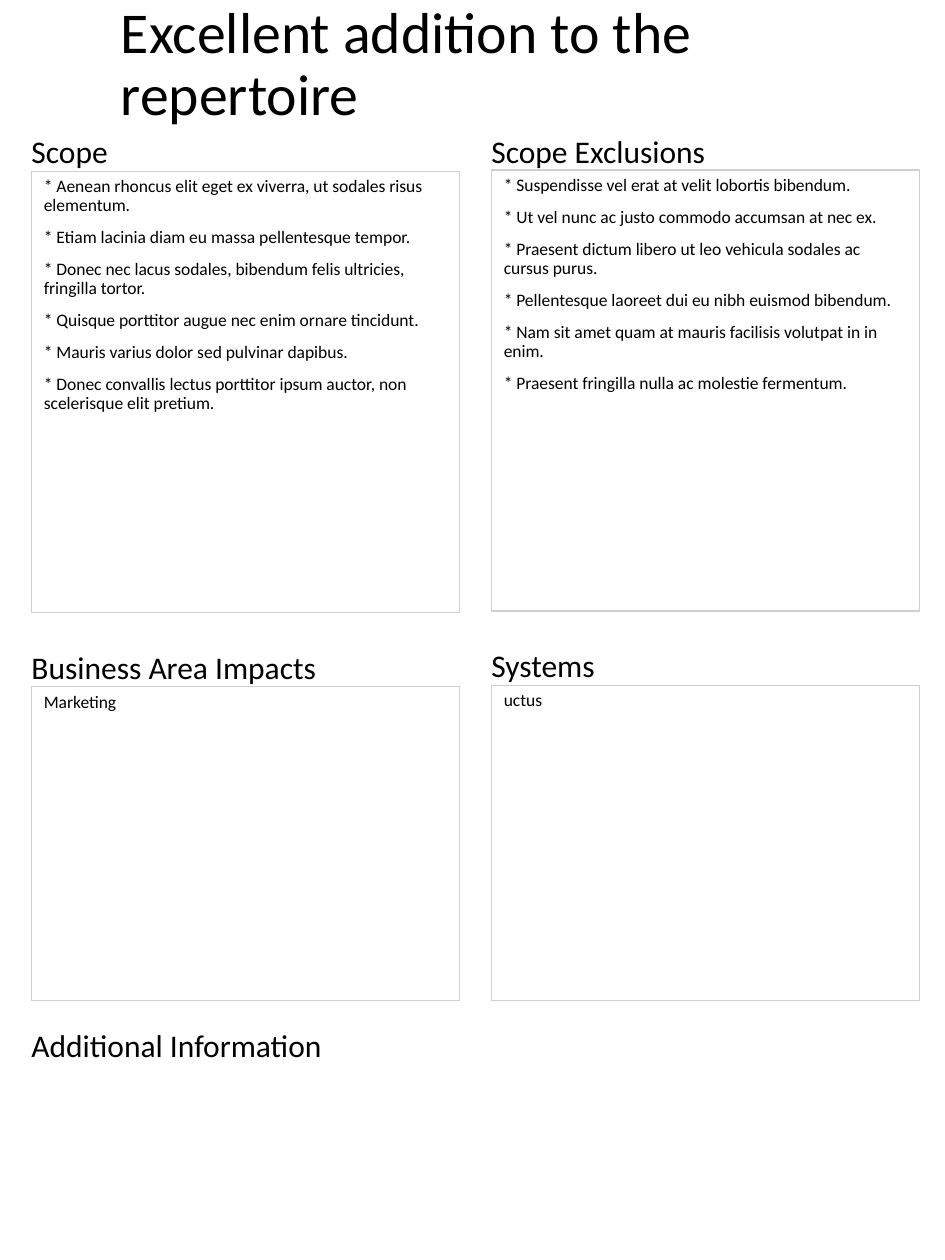
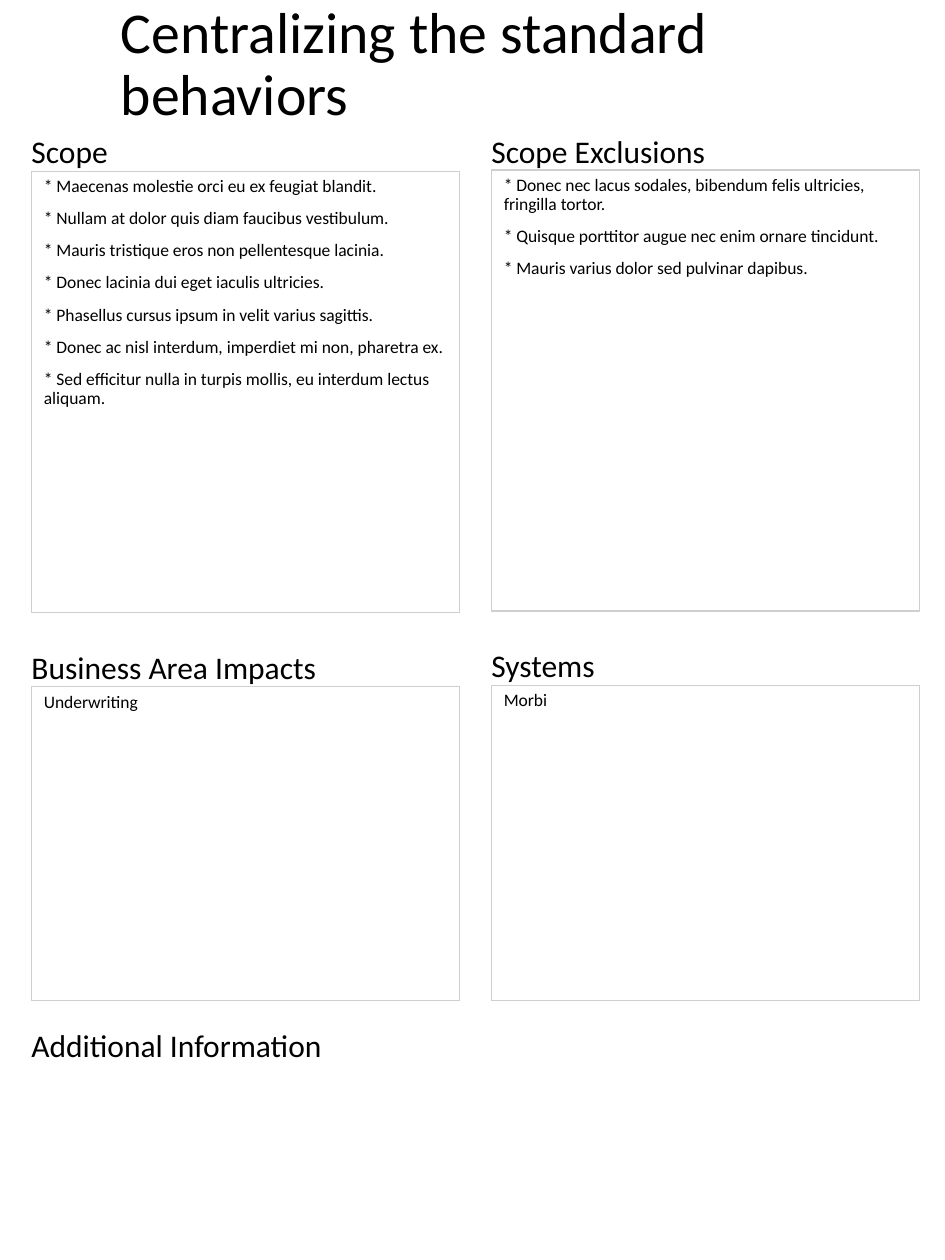
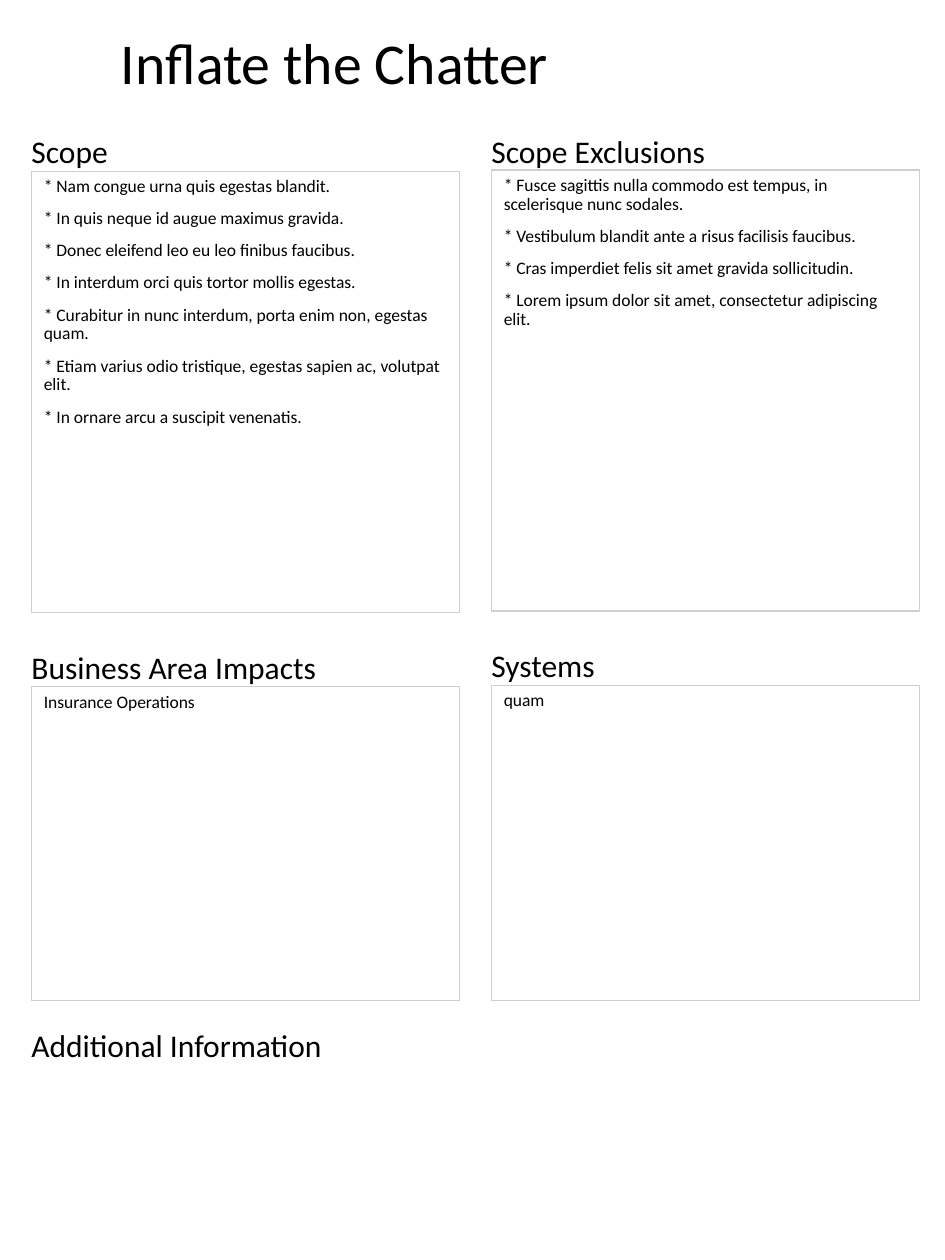
from pptx import Presentation
from pptx.dml.color import RGBColor
from pptx.enum.shapes import MSO_SHAPE
from pptx.enum.text import MSO_ANCHOR, PP_ALIGN
from pptx.util import Inches, Pt

RECTANGLE = MSO_SHAPE.RECTANGLE
TOP, MIDDLE = MSO_ANCHOR.TOP, MSO_ANCHOR.MIDDLE
LEFT = PP_ALIGN.LEFT

COLORS = {"text": "000000", "border": "D0CECE"}
FONT = "Calibri"
TITLE_SIZE, HEADING_SIZE, BODY_SIZE = 33, 18, 10
LINE_SPACING = 0.9

LEFT_COLUMN, RIGHT_COLUMN = 0.25, 3.9
COLUMN_WIDTH = 3.4
HEADING_HEIGHT = 0.3
HEADING_TO_PANEL = 0.31

PANELS = [
    ("Scope", LEFT_COLUMN, 1.05, 1.36, 3.5),
    ("Scope Exclusions", RIGHT_COLUMN, 1.05, 1.35, 3.5),
    ("Business Area Impacts", LEFT_COLUMN, 5.14, 5.45, 2.49),
    ("Systems", RIGHT_COLUMN, 5.13, 5.44, 2.5),
]
CLOSING_HEADING = ("Additional Information", LEFT_COLUMN, 8.14)

PAGES = [
    {
        "title": "Excellent addition to the repertoire",
        "Scope": [
            "* Aenean rhoncus elit eget ex viverra, ut sodales risus elementum.",
            "* Etiam lacinia diam eu massa pellentesque tempor.",
            "* Donec nec lacus sodales, bibendum felis ultricies, fringilla tortor.",
            "* Quisque porttitor augue nec enim ornare tincidunt.",
            "* Mauris varius dolor sed pulvinar dapibus.",
            "* Donec convallis lectus porttitor ipsum auctor, non scelerisque elit pretium.",
        ],
        "Scope Exclusions": [
            "* Suspendisse vel erat at velit lobortis bibendum.",
            "* Ut vel nunc ac justo commodo accumsan at nec ex.",
            "* Praesent dictum libero ut leo vehicula sodales ac cursus purus.",
            "* Pellentesque laoreet dui eu nibh euismod bibendum.",
            "* Nam sit amet quam at mauris facilisis volutpat in in enim.",
            "* Praesent fringilla nulla ac molestie fermentum.",
        ],
        "Business Area Impacts": ["Marketing"],
        "Systems": ["uctus"],
    },
    {
        "title": "Centralizing the standard behaviors",
        "Scope": [
            "* Maecenas molestie orci eu ex feugiat blandit.",
            "* Nullam at dolor quis diam faucibus vestibulum.",
            "* Mauris tristique eros non pellentesque lacinia.",
            "* Donec lacinia dui eget iaculis ultricies.",
            "* Phasellus cursus ipsum in velit varius sagittis.",
            "* Donec ac nisl interdum, imperdiet mi non, pharetra ex.",
            "* Sed efficitur nulla in turpis mollis, eu interdum lectus aliquam.",
        ],
        "Scope Exclusions": [
            "* Donec nec lacus sodales, bibendum felis ultricies, fringilla tortor.",
            "* Quisque porttitor augue nec enim ornare tincidunt.",
            "* Mauris varius dolor sed pulvinar dapibus.",
        ],
        "Business Area Impacts": ["Underwriting"],
        "Systems": ["Morbi"],
    },
    {
        "title": "Inflate the Chatter",
        "Scope": [
            "* Nam congue urna quis egestas blandit.",
            "* In quis neque id augue maximus gravida.",
            "* Donec eleifend leo eu leo finibus faucibus.",
            "* In interdum orci quis tortor mollis egestas.",
            "* Curabitur in nunc interdum, porta enim non, egestas quam.",
            "* Etiam varius odio tristique, egestas sapien ac, volutpat elit.",
            "* In ornare arcu a suscipit venenatis.",
        ],
        "Scope Exclusions": [
            "* Fusce sagittis nulla commodo est tempus, in scelerisque nunc sodales.",
            "* Vestibulum blandit ante a risus facilisis faucibus.",
            "* Cras imperdiet felis sit amet gravida sollicitudin.",
            "* Lorem ipsum dolor sit amet, consectetur adipiscing elit.",
        ],
        "Business Area Impacts": ["Insurance Operations"],
        "Systems": ["quam"],
    },
]


def write_text(text_frame, lines, size, line_spacing=1.0, space_before=0):
    text_frame.word_wrap = True
    text_frame.text = "\n".join(lines)
    for paragraph in text_frame.paragraphs:
        paragraph.alignment = LEFT
        paragraph.line_spacing = line_spacing
        paragraph.space_before = Pt(space_before)
        for run in paragraph.runs:
            run.font.name = FONT
            run.font.size = Pt(size)
            run.font.color.rgb = RGBColor.from_string(COLORS["text"])


def add_label(slide, text, left, top, width, height, size, anchor=TOP, line_spacing=1.0):
    label = slide.shapes.add_textbox(Inches(left), Inches(top), Inches(width), Inches(height))
    text_frame = label.text_frame
    text_frame.margin_left = text_frame.margin_right = 0
    text_frame.margin_top = text_frame.margin_bottom = 0
    text_frame.vertical_anchor = anchor
    write_text(text_frame, [text], size, line_spacing)


def add_title(slide, text):
    add_label(slide, text, 0.96, 0.27, 6.25, 0.5, TITLE_SIZE, MIDDLE, LINE_SPACING)


def add_heading(slide, text, left, top):
    add_label(slide, text, left, top, COLUMN_WIDTH, HEADING_HEIGHT, HEADING_SIZE)


def add_panel(slide, lines, left, top, height):
    panel = slide.shapes.add_shape(
        RECTANGLE, Inches(left), Inches(top), Inches(COLUMN_WIDTH), Inches(height)
    )
    panel.shadow.inherit = False
    panel.fill.background()
    panel.line.color.rgb = RGBColor.from_string(COLORS["border"])
    panel.line.width = Pt(0.75)
    panel.text_frame.vertical_anchor = TOP
    write_text(panel.text_frame, lines, BODY_SIZE, LINE_SPACING, 7.5)


def add_page(presentation, page):
    slide = presentation.slides.add_slide(presentation.slide_layouts[6])
    for heading, left, heading_top, _, _ in PANELS:
        add_heading(slide, heading, left, heading_top)
    add_heading(slide, *CLOSING_HEADING)
    add_title(slide, page["title"])
    for heading, left, _, panel_top, height in PANELS:
        add_panel(slide, page[heading], left, panel_top, height)


def main():
    presentation = Presentation()
    presentation.slide_width = Inches(7.5)
    presentation.slide_height = Inches(10)
    for page in PAGES:
        add_page(presentation, page)
    presentation.save("out.pptx")


if __name__ == "__main__":
    main()
